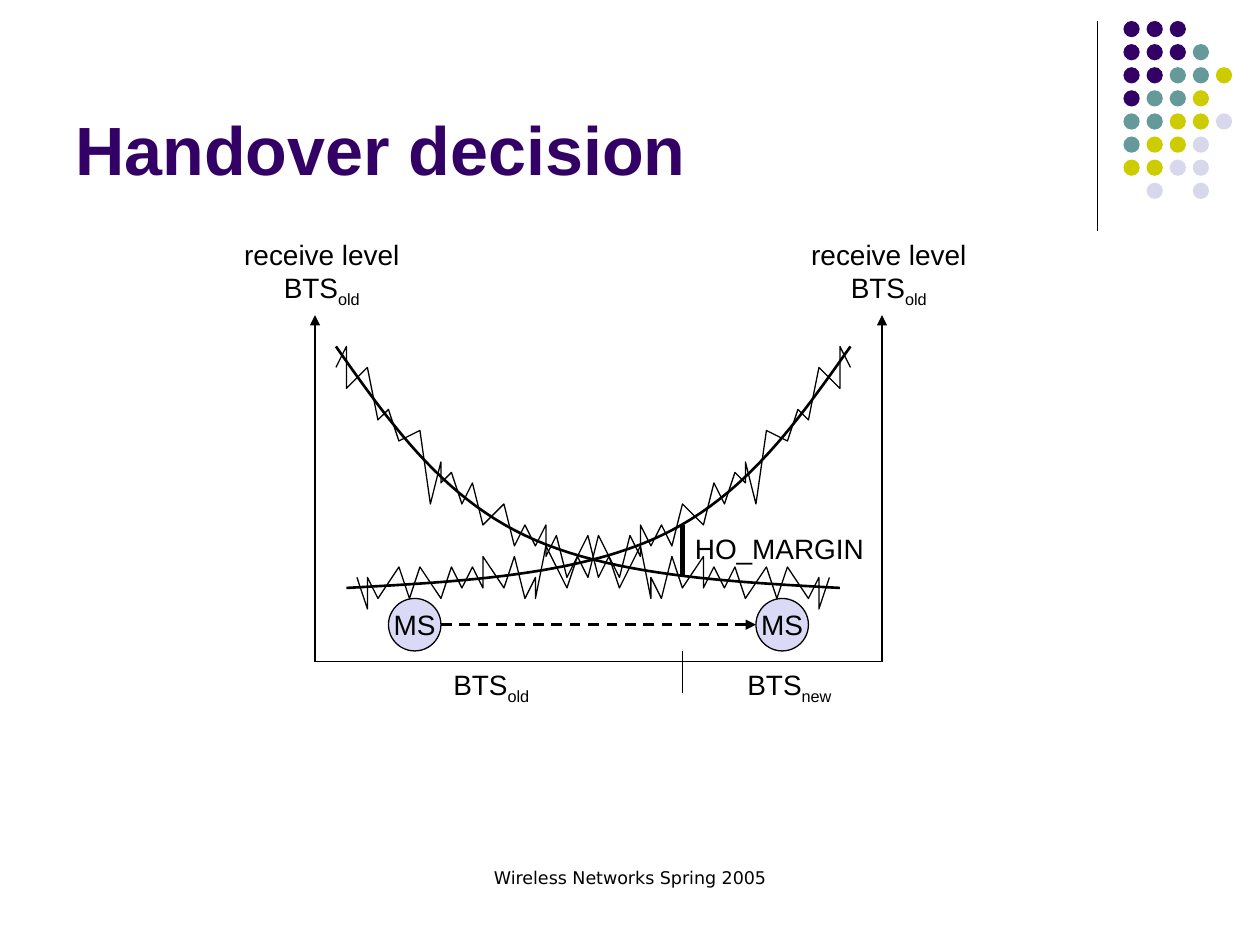
from dataclasses import dataclass
from typing import Optional

from lxml.etree import SubElement
from pptx import Presentation
from pptx.dml.color import RGBColor
from pptx.enum.dml import MSO_LINE
from pptx.enum.shapes import MSO_CONNECTOR as Connector, MSO_SHAPE as Preset
from pptx.enum.text import MSO_ANCHOR as Anchor, MSO_AUTO_SIZE as AutoSize, PP_ALIGN as Align
from pptx.oxml.ns import qn
from pptx.util import Cm, Pt

Point = tuple[float, float]


@dataclass(frozen=True)
class Theme:
    ink: str = "000000"
    purple: str = "330066"
    teal: str = "669999"
    olive: str = "CCCC00"
    lavender: str = "D8D8EC"
    station: str = "DADAF6"
    font: str = "Arial"
    footer_font: str = "DejaVu Sans"
    title_size: float = 39
    label_size: float = 16
    footer_size: float = 10
    thin: float = 0.75
    medium: float = 1.5
    thick: float = 3


@dataclass(frozen=True)
class Label:
    lines: tuple[str, ...]
    left: float
    top: float
    width: float
    height: float
    subscript: str = ""
    align: Align = Align.LEFT


@dataclass(frozen=True)
class Rule:
    start: Point
    end: Point
    weight: float
    arrow: bool = False
    dashed: bool = False


THEME = Theme()
MIRROR_SUM = 113  # the two curves mirror each other: x + mirrored x

LABELS = [
    Label(("receive level", "BTS"), 22, 22, 17.3, 7.7, "old", Align.CENTER),
    Label(("receive level", "BTS"), 76, 22, 17.3, 7.7, "old", Align.CENTER),
    Label(("HO_MARGIN",), 65, 50, 18.6, 4.4),
    Label(("BTS",), 42, 63, 10.1, 4.4, "old"),
    Label(("BTS",), 70, 63, 10.9, 4.4, "new"),
]
RULES = [
    Rule((104.5, 2), (104.5, 22), THEME.thin),
    Rule((30, 63), (30, 30), THEME.thin, arrow=True),
    Rule((84, 63), (84, 30), THEME.thin, arrow=True),
    Rule((30, 63), (84, 63), THEME.thin),
    Rule((42, 59.5), (72, 59.5), THEME.medium, arrow=True, dashed=True),
    Rule((65, 55), (65, 50), THEME.thick),
    Rule((65, 62), (65, 66), THEME.thin),
]
DOT_ROWS = ["PPP", "PPPT", "PPTTO", "PTTO", "TTOOL", "TOOL", "OOLL", " L L"]
DOT_COLOURS = {"P": THEME.purple, "T": THEME.teal, "O": THEME.olive, "L": THEME.lavender}

MEAN_LEVEL = [
    ((32, 33), (37, 40.1), (42, 47.2), (50, 51)),
    ((50, 51), (58, 54.8), (69, 55.4), (80, 56)),
]
NOISY_LEVEL = [
    (32, 35), (33, 33), (33, 37), (35, 35), (36, 40), (37, 39), (38, 42), (40, 41),
    (41, 48), (42, 44), (42, 46), (43, 45), (44, 48), (45, 46), (46, 50), (48, 48),
    (49, 52), (50, 50), (51, 52), (52, 50), (52, 53), (53, 51), (54, 55), (56, 51),
    (57, 55), (58, 53), (59, 56), (61, 52), (62, 57), (62, 55), (63, 57), (64, 53),
    (65, 56), (67, 53), (67, 56), (68, 54), (69, 56), (70, 54), (71, 57), (73, 54),
    (74, 57), (75, 54), (77, 57), (78, 55), (78, 58), (79, 55),
]


def grid(units: float) -> Cm:
    """Length of a number of grid units, twelve to the inch."""
    return Cm(units * 2.54 / 12)


def colour(code: str) -> RGBColor:
    return RGBColor.from_string(code)


def style_line(line, weight: float) -> None:
    line.color.rgb = colour(THEME.ink)
    line.width = Pt(weight)


def style_font(font, name: str, size: float, code: str = THEME.ink, bold: bool = False) -> None:
    font.name, font.size, font.bold = name, Pt(size), bold
    font.color.rgb = colour(code)


def add_text_box(page, left: float, top: float, width: float, height: float):
    return page.shapes.add_textbox(grid(left), grid(top), grid(width), grid(height)).text_frame


def draw_label(page, label: Label) -> None:
    frame = add_text_box(page, label.left, label.top, label.width, label.height)
    frame.text = "\n".join(label.lines)
    frame.word_wrap = False
    frame.auto_size = AutoSize.SHAPE_TO_FIT_TEXT
    if label.subscript:
        span = frame.paragraphs[-1].add_run()
        span.text = label.subscript
        span.font._element.set("baseline", "-25000")
    for para in frame.paragraphs:
        para.alignment = label.align
        for span in para.runs:
            style_font(span.font, THEME.font, THEME.label_size)


def draw_rule(page, rule: Rule) -> None:
    ends = [grid(value) for value in (*rule.start, *rule.end)]
    connector = page.shapes.add_connector(Connector.STRAIGHT, *ends)
    style_line(connector.line, rule.weight)
    if rule.dashed:
        connector.line.dash_style = MSO_LINE.DASH
    if rule.arrow:
        SubElement(connector.line._get_or_add_ln(), qn("a:tailEnd"), type="triangle")
    SubElement(connector._element.spPr, qn("a:effectLst"))


def draw_circle(page, left: float, top: float, size: float, fill: str,
                text: Optional[str] = None) -> None:
    circle = page.shapes.add_shape(Preset.OVAL, grid(left), grid(top), grid(size), grid(size))
    circle.shadow.inherit = False
    circle.fill.solid()
    circle.fill.fore_color.rgb = colour(fill)
    if text is None:
        circle.line.fill.background()
        return
    style_line(circle.line, THEME.thin)
    frame = circle.text_frame
    frame.text = text
    frame.word_wrap = False
    frame.vertical_anchor = Anchor.MIDDLE
    para = frame.paragraphs[0]
    para.alignment = Align.CENTER
    style_font(para.runs[0].font, THEME.font, THEME.label_size)


def bezier_point(curve: tuple[Point, ...], t: float) -> Point:
    weights = ((1 - t) ** 3, 3 * t * (1 - t) ** 2, 3 * t * t * (1 - t), t ** 3)
    return (sum(w * x for w, (x, _) in zip(weights, curve)),
            sum(w * y for w, (_, y) in zip(weights, curve)))


def draw_level(page, points: list[Point], weight: float) -> None:
    """Draw a level as an open line, together with its mirrored twin."""
    for side in (points, [(MIRROR_SUM - x, y) for x, y in points]):
        first, *rest = [(grid(x), grid(y)) for x, y in side]
        builder = page.shapes.build_freeform(*first)
        builder.add_line_segments(rest, close=False)
        outline = builder.convert_to_shape()
        outline.shadow.inherit = False
        outline.fill.background()
        style_line(outline.line, weight)


def main() -> None:
    deck = Presentation()
    deck.slide_width, deck.slide_height = grid(120), grid(90)
    page = deck.slides.add_slide(deck.slide_layouts[6])

    for row, dots in enumerate(DOT_ROWS):
        for column, key in enumerate(dots):
            if key in DOT_COLOURS:
                draw_circle(page, 107 + 2.2 * column, 2 + 2.2 * row, 1.55, DOT_COLOURS[key])

    title = add_text_box(page, 6, 1.6, 99, 17)
    title.text = "Handover decision"
    title.word_wrap = True
    title.vertical_anchor = Anchor.BOTTOM
    style_font(title.paragraphs[0].runs[0].font, THEME.font, THEME.title_size, THEME.purple, True)

    footer = add_text_box(page, 41, 82, 38, 6)
    footer.text = "Wireless Networks Spring 2005"
    footer.word_wrap = True
    footer.paragraphs[0].alignment = Align.CENTER
    style_font(footer.paragraphs[0].runs[0].font, THEME.footer_font, THEME.footer_size)

    for left in (37, 72):
        draw_circle(page, left, 57, 5, THEME.station, "MS")
    steps = 24
    mean = [bezier_point(curve, step / steps) for curve in MEAN_LEVEL for step in range(steps)]
    draw_level(page, mean + [MEAN_LEVEL[-1][-1]], THEME.medium)
    draw_level(page, NOISY_LEVEL, THEME.thin)
    for rule in RULES:
        draw_rule(page, rule)
    for label in LABELS:
        draw_label(page, label)
    deck.save("out.pptx")


if __name__ == "__main__":
    main()
